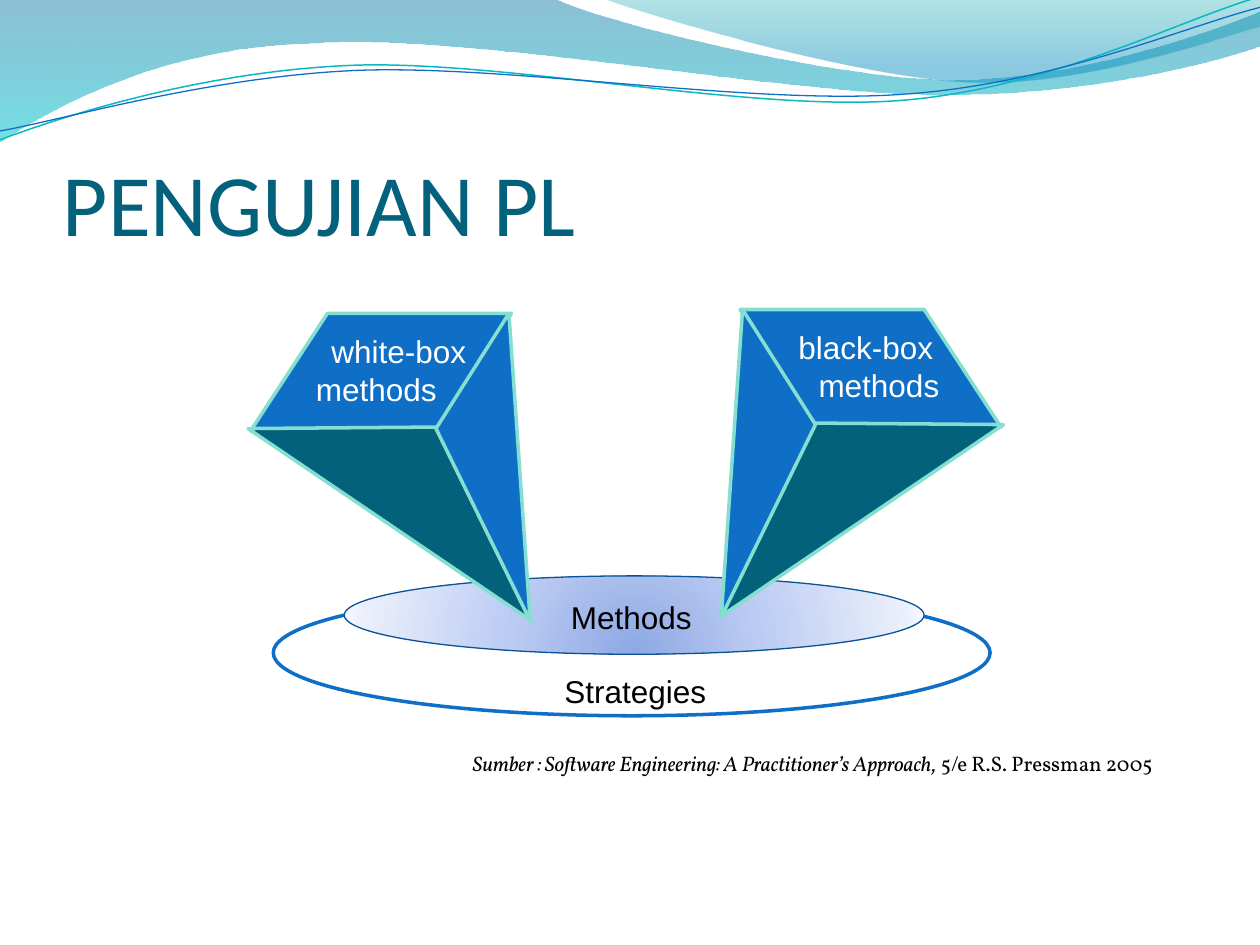
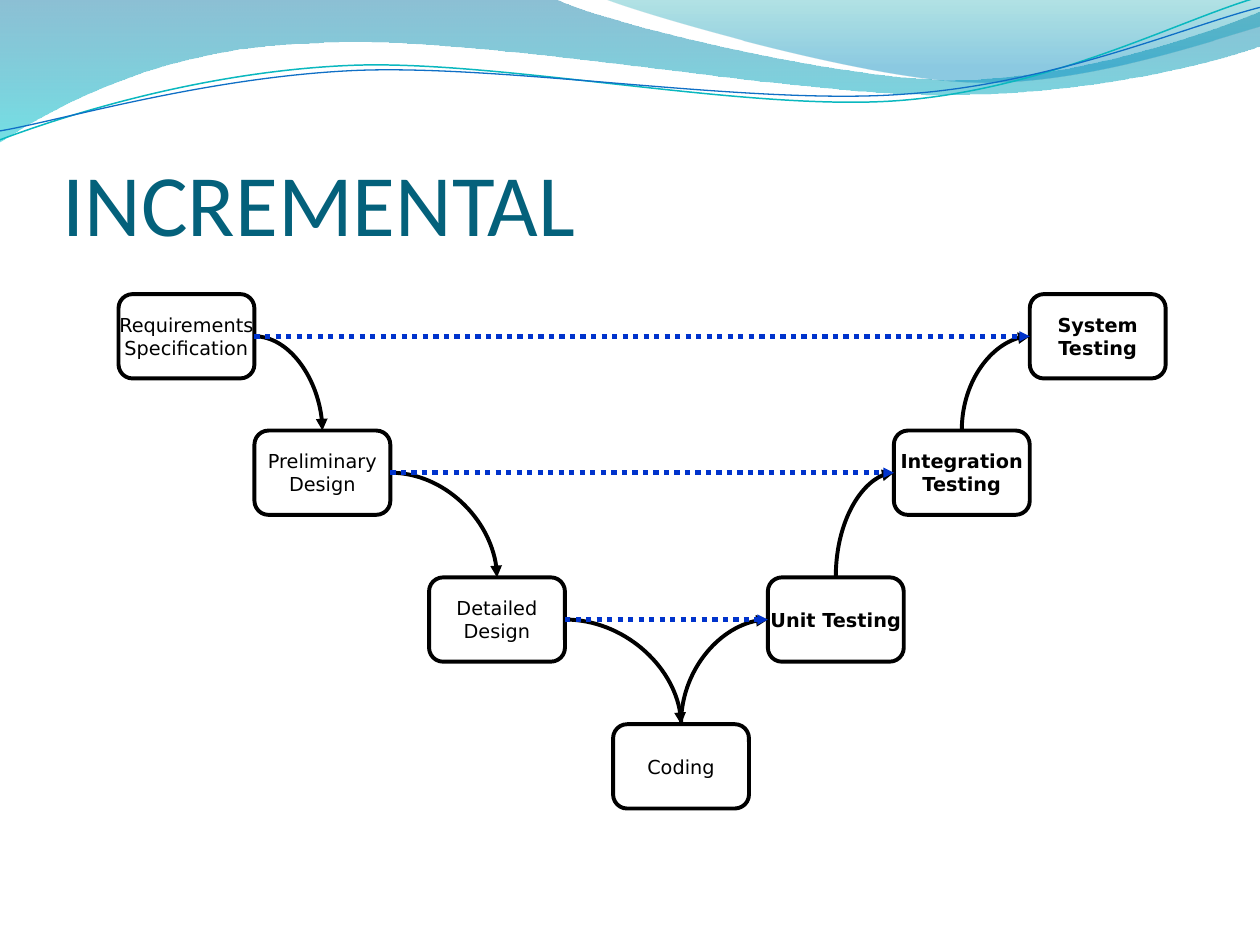
import lxml.etree
import pptx
import pptx.dml.color
import pptx.enum.dml
import pptx.enum.shapes
import pptx.enum.text
import pptx.oxml.ns
import pptx.util

Cm = pptx.util.Cm
Pt = pptx.util.Pt
RGB = pptx.dml.color.RGBColor
qn = pptx.oxml.ns.qn
SHAPE = pptx.enum.shapes.MSO_SHAPE
CONNECTOR = pptx.enum.shapes.MSO_CONNECTOR
ALIGN = pptx.enum.text.PP_ALIGN
ANCHOR = pptx.enum.text.MSO_ANCHOR

BLACK = RGB(0x00, 0x00, 0x00)
WHITE = RGB(0xFF, 0xFF, 0xFF)
BLUE = RGB(0x0F, 0x6F, 0xC6)
PETROL = RGB(0x04, 0x61, 0x7B)
TEAL = RGB(0x0A, 0xB8, 0xBF)
MINT = RGB(0x85, 0xDF, 0xD0)
NAVY = RGB(0x09, 0x52, 0x95)
DOT_BLUE = RGB(0x00, 0x33, 0xCC)

# Wave outlines in cm: a pair is a corner, six numbers are a Bezier curve
BAND = [(0, 0), (11.18, -0.03), (12.09, 0.43, 16.87, 1.6, 19.25, 1.6),
        (21.67, 1.6, 24.33, 0.66, 25.4, 0.23), (25.43, 0.91),
        (24.97, 1.12, 22.1, 1.93, 18.95, 1.91), (15.8, 1.91, 9.7, 0.71, 6.53, 0.86),
        (3.28, 0.91, 1.17, 2.11, -0.03, 2.87), (0, 0)]
CORNER = [(12.17, -0.03), (12.93, 0.28, 17.32, 1.57, 19.53, 1.65),
          (21.74, 1.75, 24.41, 0.81, 25.4, 0.53), (25.4, 0), (12.17, -0.03)]
TEAL_WAVE = [(0, 2.82), (1.22, 2.36, 4.01, 1.45, 7.04, 1.32),
             (10.03, 1.19, 15.06, 2.26, 18.11, 2.03), (21.16, 1.8, 23.83, 0.38, 25.35, -0.05)]
BLUE_WAVE = [(0, 2.64), (1.19, 2.44, 4.17, 1.55, 7.19, 1.42),
             (10.24, 1.3, 15.16, 2.13, 18.21, 1.9), (21.23, 1.7, 23.9, 0.53, 25.4, 0.15)]


def add_outline(s, parts, fill=None, line=None, width=1):
    """Draw an outline of corners and Bezier curves given in cm."""
    ends = [(Cm(part[-2]), Cm(part[-1])) for part in parts]
    fb = s.shapes.build_freeform(*ends[0])
    fb.add_line_segments(ends[1:], close=line is None)
    sp = fb.convert_to_shape()
    left, top = min(x for x, _ in ends), min(y for _, y in ends)
    outline = next(sp._element.iter(qn("a:path")))
    for segment, part in zip(list(outline), parts):
        if len(part) == 6:
            segment.tag = qn("a:cubicBezTo")
            for k in (0, 2):
                pt = lxml.etree.Element(qn("a:pt"), x=str(Cm(part[k]) - left),
                                        y=str(Cm(part[k + 1]) - top))
                segment.insert(k // 2, pt)
    sp.shadow.inherit = False
    if fill is None:
        sp.fill.background()
    else:
        sp.fill.solid()
        sp.fill.fore_color.rgb = fill
    if line is None:
        sp.line.fill.background()
    else:
        sp.line.color.rgb = line
        sp.line.width = Pt(width)
    return sp


def set_gradient(sp, stops, circle=False):
    """Fill with (position %, colour, opacity %) stops, downwards or in a circle."""
    sp.fill.gradient()
    grad = sp.fill._xPr.find(qn("a:gradFill"))
    for child in list(grad):
        grad.remove(child)
    gs_lst = lxml.etree.SubElement(grad, qn("a:gsLst"))
    for pos, colour, opacity in stops:
        gs = lxml.etree.SubElement(gs_lst, qn("a:gs"), pos=str(pos * 1000))
        clr = lxml.etree.SubElement(gs, qn("a:srgbClr"), val=colour)
        if opacity < 100:
            lxml.etree.SubElement(clr, qn("a:alpha"), val=str(opacity * 1000))
    if circle:
        shade = lxml.etree.SubElement(grad, qn("a:path"))
        shade.set("path", "circle")
        lxml.etree.SubElement(shade, qn("a:fillToRect"), l="50000", t="130000", r="50000", b="-30000")
    else:
        lxml.etree.SubElement(grad, qn("a:lin"), ang="5400000", scaled="1")


prs = pptx.Presentation()
prs.slide_width = Cm(25.4)
prs.slide_height = Cm(19.05)

# Shared waves and title
slides = []
for title in ("PENGUJIAN PL", "INCREMENTAL"):
    s = prs.slides.add_slide(prs.slide_layouts[6])
    slides.append(s)
    set_gradient(add_outline(s, BAND), [(0, "0074A1", 45), (100, "00C6CF", 55)])
    set_gradient(add_outline(s, CORNER), [(0, "00A1A9", 30), (80, "008BBF", 45)])
    add_outline(s, TEAL_WAVE, line=TEAL, width=0.85)
    add_outline(s, BLUE_WAVE, line=BLUE, width=0.75)
    tf = s.shapes.add_textbox(Cm(1.27), Cm(1.94), Cm(22.86), Cm(3.18)).text_frame
    tf.word_wrap = True
    tf.vertical_anchor = ANCHOR.BOTTOM
    tf.margin_left = tf.margin_right = tf.margin_bottom = 0
    tf.text = title
    r = tf.paragraphs[0].runs[0]
    r.font.name = "Calibri"
    r.font.size = Pt(50)
    r.font.color.rgb = PETROL

# Slide 1: strategy and method discs
s = slides[0]
strategies = s.shapes.add_shape(SHAPE.OVAL, Cm(5.51), Cm(11.89), Cm(14.45), Cm(2.54))
strategies.fill.solid()
strategies.fill.fore_color.rgb = WHITE
methods = s.shapes.add_shape(SHAPE.OVAL, Cm(6.94), Cm(11.61), Cm(11.69), Cm(1.58))
set_gradient(methods, [(0, "8DA8E3", 100), (43, "BBCBF3", 100),
                       (93, "EAEFFB", 100), (100, "F7F9FF", 100)], circle=True)
for sp, colour, width in ((strategies, BLUE, 2), (methods, NAVY, 0.75)):
    sp.shadow.inherit = False
    sp.line.color.rgb = colour
    sp.line.width = Pt(width)

# Two gems, the right one a mirror image set slightly higher
FACETS = [([(10.31, 6.32), (6.6, 6.32), (5.05, 8.69), (8.86, 8.69), (10.31, 6.32)], BLUE),
          ([(5, 8.64), (10.72, 12.52), (8.79, 8.61), (5, 8.64)], PETROL),
          ([(10.69, 12.52), (8.79, 8.64), (10.26, 6.32), (10.69, 12.52)], BLUE)]
for mirrored in (False, True):
    for corners, colour in FACETS:
        if mirrored:
            corners = [(25.23 - x, y - 0.08) for x, y in corners]
        sp = add_outline(s, corners, colour, MINT, 2)
        lxml.etree.SubElement(sp.line._get_or_add_ln(), qn("a:tailEnd"), type="triangle")

# Labels: left, top, width, height, wrap, colour, lines with alignment and indent
LABELS = [
    (11.26, 11.94, 2.97, 1.02, False, BLACK, [("Methods", ALIGN.LEFT, 0)]),
    (11.13, 13.42, 3.4, 1.02, False, BLACK, [("Strategies", ALIGN.LEFT, 0)]),
    (6.12, 6.57, 3.53, 1.78, True, WHITE,
     [("white-box", ALIGN.RIGHT, 0), ("methods", ALIGN.LEFT, 0)]),
    (15.69, 6.49, 3.53, 1.78, True, WHITE,
     [("black-box", ALIGN.CENTER, 0), ("methods", ALIGN.CENTER, 0.53)]),
]
for left, top, width, height, wrap, colour, lines in LABELS:
    tf = s.shapes.add_textbox(Cm(left), Cm(top), Cm(width), Cm(height)).text_frame
    tf.word_wrap = wrap
    tf.text = "\n".join(text for text, _, _ in lines)
    for p, (_, align, indent) in zip(tf.paragraphs, lines):
        p.alignment = align
        if indent:
            p._p.get_or_add_pPr().set("marL", str(Cm(indent)))
        p.runs[0].font.name = "Arial"
        p.runs[0].font.size = Pt(18)
        p.runs[0].font.color.rgb = colour

# Citation
tf = s.shapes.add_textbox(Cm(2.46), Cm(15.06), Cm(21.03), Cm(0.71)).text_frame
tf.word_wrap = True
p = tf.paragraphs[0]
p.alignment = ALIGN.RIGHT
p.line_spacing = 0.9
for text, italic in (("Sumber : Software Engineering: A Practitioner’s Approach,", True),
                     (" 5/e R.S. Pressman 2005", False)):
    r = p.add_run()
    r.text = text
    r.font.name = "Vollkorn"
    r.font.size = Pt(12)
    r.font.italic = italic
    r.font.color.rgb = BLACK

# Slide 2: the V of development and testing steps
s = slides[1]
STEPS = [("Requirements\vSpecification", 2.39, 5.93), ("Preliminary\nDesign", 5.13, 8.68),
         ("Detailed\nDesign", 8.65, 11.64), ("Coding", 12.36, 14.6),
         ("Unit Testing", 15.48, 11.64), ("Integration\nTesting", 18.02, 8.68),
         ("System\nTesting", 20.76, 5.93)]
boxes = []
for i, (text, left, top) in enumerate(STEPS):
    sp = s.shapes.add_shape(SHAPE.ROUNDED_RECTANGLE, Cm(left), Cm(top), Cm(2.74), Cm(1.7))
    sp.shadow.inherit = False
    sp.fill.background()
    sp.line.color.rgb = BLACK
    sp.line.width = Pt(2.25)
    tf = sp.text_frame
    tf.word_wrap = False
    tf.vertical_anchor = ANCHOR.MIDDLE
    tf.text = text
    for p in tf.paragraphs:
        p.alignment = ALIGN.CENTER
        for r in p.runs:
            r.font.name = "DejaVu Sans"
            r.font.size = Pt(11)
            r.font.bold = i > 3
            r.font.color.rgb = BLACK
    boxes.append(sp)

# Links: begin box and side, end box and side, curved, arrowhead
links = [(i, 3, i + 1, 0, True, "tailEnd") for i in range(3)]
links += [(i + 1, 1, i, 0, True, "headEnd") for i in range(3, 6)]
links += [(i, 3, 6 - i, 1, False, "tailEnd") for i in range(3)]
for begin, begin_side, end, end_side, curved, head in links:
    kind = CONNECTOR.CURVE if curved else CONNECTOR.STRAIGHT
    cn = s.shapes.add_connector(kind, 0, 0, 0, 0)
    cn.begin_connect(boxes[begin], begin_side)
    cn.end_connect(boxes[end], end_side)
    spPr = cn._element.spPr
    if curved:
        spPr.find(qn("a:prstGeom")).set("prst", "curvedConnector2")
        cn.line.color.rgb = BLACK
        cn.line.width = Pt(2.25)
    else:
        cn.line.color.rgb = DOT_BLUE
        cn.line.width = Pt(3)
        cn.line.dash_style = pptx.enum.dml.MSO_LINE.ROUND_DOT
    size = "med" if curved else "sm"
    lxml.etree.SubElement(cn.line._get_or_add_ln(), qn("a:" + head),
                          type="triangle", w=size, len=size)
    lxml.etree.SubElement(spPr, qn("a:effectLst"))

prs.save("out.pptx")
